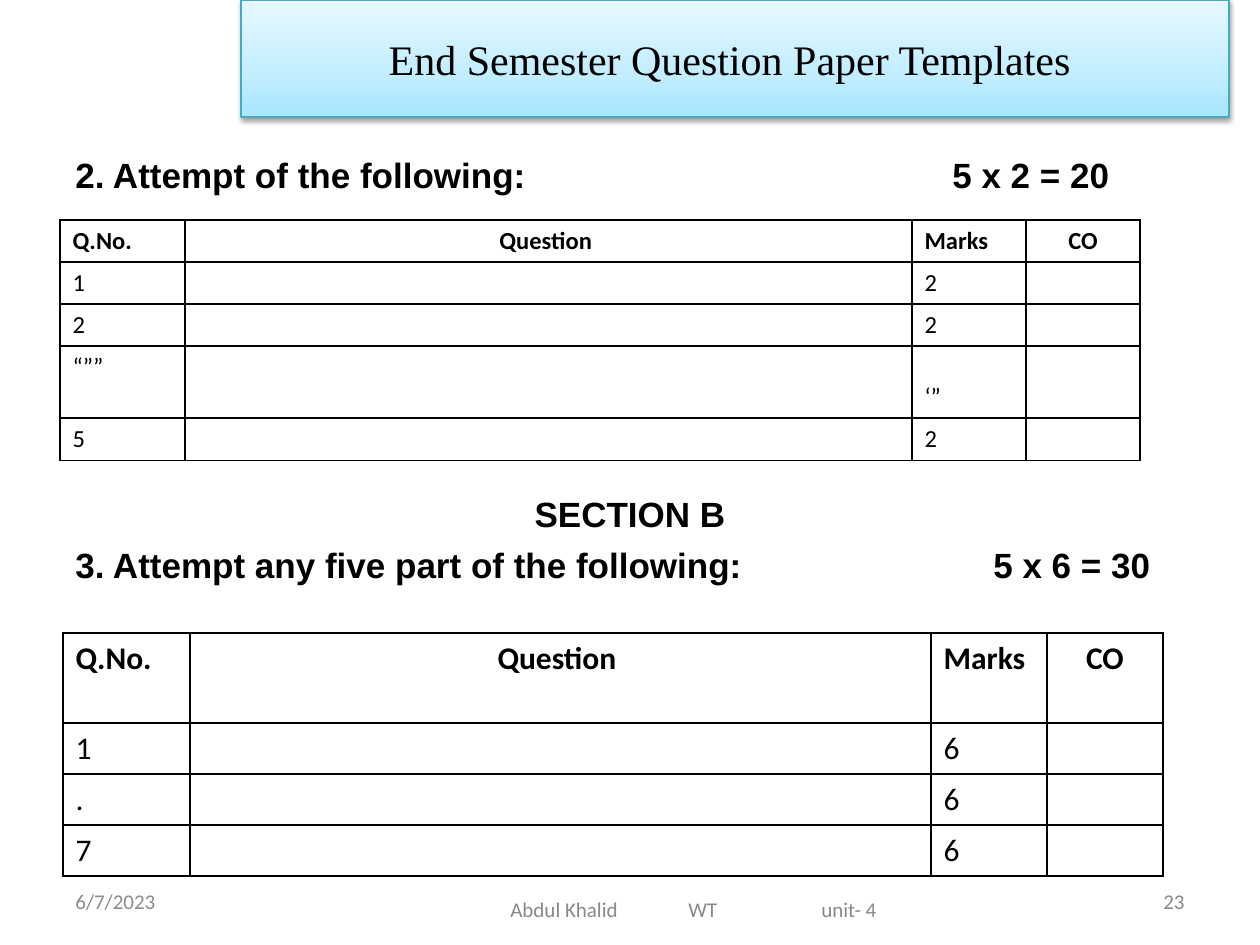
from lxml import etree
from pptx import Presentation
from pptx import util as u
from pptx.dml.color import RGBColor
from pptx.enum import text
from pptx.oxml import parse_xml
from pptx.oxml.ns import nsdecls, qn

PX = u.Inches(1) / 126
COLORS = {
    "ink": "000000", "paper": "FFFFFF", "edge": "46AAC5",
    "bottom": "A7E6FF", "middle": "C1EDFF", "top": "E7F8FF",
    "footer": "888888", "date": "8C8C8C",
}
LEFT, CENTER, RIGHT = text.PP_ALIGN.LEFT, text.PP_ALIGN.CENTER, text.PP_ALIGN.RIGHT
TOP, MIDDLE, BOTTOM = (text.MSO_ANCHOR.TOP, text.MSO_ANCHOR.MIDDLE,
                       text.MSO_ANCHOR.BOTTOM)


def px(n):
    return u.Emu(round(n * PX))


def rgb(name):
    return RGBColor.from_string(COLORS[name])


class Deck:
    def __init__(self):
        self.prs = Presentation()
        self.prs.slide_width, self.prs.slide_height = px(1260), px(945)
        self.s = self.prs.slides.add_slide(self.prs.slide_layouts[5])

    def style(self, p, size, font="Calibri", color="ink", bold=False, align=LEFT):
        p.alignment = align
        for r in p.runs:
            r.font.size, r.font.name, r.font.bold = u.Pt(size), font, bold
            r.font.color.rgb = rgb(color)

    def tabs(self, p, stops):
        lst = etree.SubElement(p._p.get_or_add_pPr(), qn("a:tabLst"))
        for stop in stops:
            etree.SubElement(lst, qn("a:tab"), pos=str(px(stop)), algn="l")

    def title(self, x, y, w, h, words):
        sp = self.s.shapes.title
        sp.left, sp.top, sp.width, sp.height = map(px, (x, y, w, h))
        stops = "".join(
            f'<a:gs pos="{pos}"><a:srgbClr val="{COLORS[name]}"/></a:gs>'
            for pos, name in ((0, "bottom"), (35000, "middle"), (100000, "top")))
        props = sp._element.spPr
        props.append(parse_xml(
            f'<a:gradFill {nsdecls("a")} rotWithShape="1"><a:gsLst>{stops}</a:gsLst>'
            '<a:lin ang="16200000" scaled="0"/></a:gradFill>'))
        sp.line.color.rgb = rgb("edge")
        sp.line.width = u.Pt(0.75)
        props.append(parse_xml(
            f'<a:effectLst {nsdecls("a")}><a:outerShdw blurRad="{u.Pt(3.1)}" '
            f'dist="{u.Pt(1.6)}" dir="5400000" rotWithShape="0">'
            f'<a:srgbClr val="{COLORS["ink"]}"><a:alpha val="38000"/></a:srgbClr>'
            '</a:outerShdw></a:effectLst>'))
        tf = sp.text_frame
        tf.text = words
        tf.vertical_anchor = MIDDLE
        self.style(tf.paragraphs[0], 24, "Times New Roman", align=CENTER)

    def text_box(self, x, y, w, h, anchor=TOP):
        tf = self.s.shapes.add_textbox(*map(px, (x, y, w, h))).text_frame
        tf.word_wrap = True
        tf.vertical_anchor = anchor
        return tf

    def headings(self, x, y, w, h, lines):
        tf = self.text_box(x, y, w, h)
        for i, (words, before, align, stops) in enumerate(lines):
            p = tf.add_paragraph() if i else tf.paragraphs[0]
            p.text = words
            p.space_before = u.Pt(before)
            self.style(p, 20, "Arial", bold=True, align=align)
            self.tabs(p, stops)

    def footer(self, x, y, w, h, words, color="footer", align=LEFT, stops=()):
        p = self.text_box(x, y, w, h, MIDDLE).paragraphs[0]
        p.text = words
        self.style(p, 12, color=color, align=align)
        self.tabs(p, stops)

    def border(self, cell):
        props = cell._tc.get_or_add_tcPr()
        for i, side in enumerate(("lnL", "lnR", "lnT", "lnB")):
            props.insert(i, parse_xml(
                f'<a:{side} {nsdecls("a")} w="{u.Pt(1)}"><a:solidFill>'
                f'<a:srgbClr val="{COLORS["ink"]}"/></a:solidFill></a:{side}>'))

    def table(self, x, y, widths, heights, size, rows):
        rows = [("Q.No.", "Question ", "Marks", "CO")] + [
            (number, "", marks, "") for number, marks in rows]
        tbl = self.s.shapes.add_table(
            len(rows), len(widths), px(x), px(y),
            px(sum(widths)), px(sum(heights))).table
        tbl.first_row = tbl.horz_banding = False
        for col, width in zip(tbl.columns, widths):
            col.width = px(width)
        for i, (row, height) in enumerate(zip(rows, heights)):
            tbl.rows[i].height = px(height)
            for j, words in enumerate(row):
                cell = tbl.cell(i, j)
                cell.fill.solid()
                cell.fill.fore_color.rgb = rgb("paper")
                self.border(cell)
                p = cell.text_frame.paragraphs[0]
                p.text = words
                self.style(p, size, bold=i == 0, align=CENTER if j % 2 else LEFT)
                if not words:  # keeps empty cells at the table's text size
                    etree.SubElement(p._p, qn("a:endParaRPr"), sz=str(size * 100))
        return tbl


def main():
    deck = Deck()
    deck.title(241, 0, 988, 117, "End Semester Question Paper Templates ")

    # Question headings, with the marks on a tab stop
    deck.headings(63, 147, 1134, 655, [
        ("2. Attempt of the following:\t5 x 2 = 20", 3.6, LEFT, [877]),
        ("SECTION B", 170, CENTER, []),
        ("3. Attempt any five part of the following:\t5 x 6 = 30", 5, LEFT, [918]),
    ])

    # Question tables
    short = deck.table(60, 220, [125, 727, 114, 114], [42, 42, 42, 72, 42], 14,
                       [("1", "2"), ("2", "2"), ("“””", "‘”"), ("5", "2")])
    short.cell(3, 2).vertical_anchor = BOTTOM
    deck.table(63, 633, [127, 741, 116, 116], [90, 51, 51, 51], 18,
               [("1", "6"), (".", "6"), ("7", "6")])

    # Footer
    deck.footer(261, 886, 706, 47, "\tAbdul Khalid\tWT\tunit- 4",
                stops=[237, 415, 548])
    deck.footer(903, 876, 294, 50, "23", align=RIGHT)
    deck.footer(63, 876, 294, 50, "6/7/2023", color="date")

    deck.prs.save("out.pptx")


if __name__ == "__main__":
    main()
